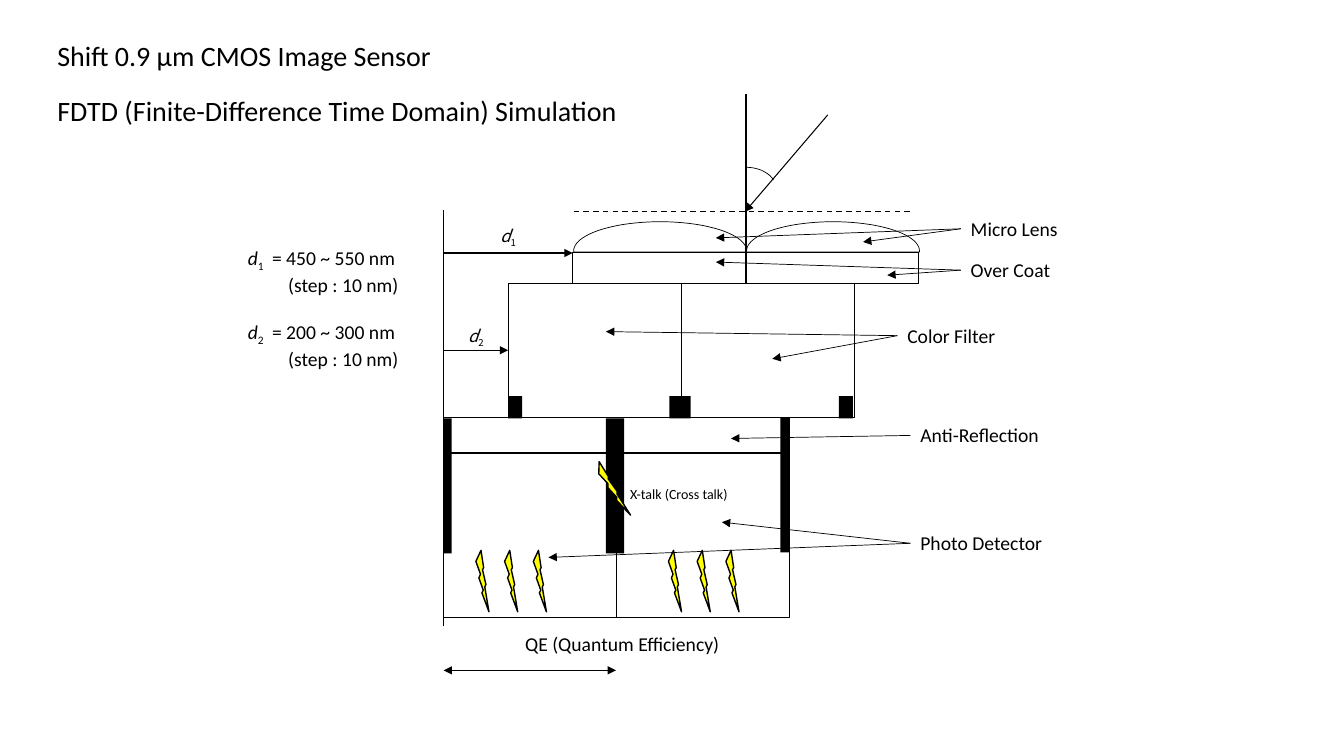
from math import cos, pi, sin

from lxml import etree
from pptx import Presentation
from pptx.dml.color import RGBColor
from pptx.enum.dml import MSO_LINE
from pptx.enum.shapes import MSO_CONNECTOR, MSO_SHAPE
from pptx.enum.text import MSO_ANCHOR, MSO_AUTO_SIZE, PP_ALIGN
from pptx.oxml.ns import qn
from pptx.util import Inches, Pt

RECT, ARC, BOLT = MSO_SHAPE.RECTANGLE, MSO_SHAPE.ARC, MSO_SHAPE.LIGHTNING_BOLT
STRAIGHT = MSO_CONNECTOR.STRAIGHT
DASH = MSO_LINE.DASH
MIDDLE, CENTER = MSO_ANCHOR.MIDDLE, PP_ALIGN.CENTER
GROW = MSO_AUTO_SIZE.SHAPE_TO_FIT_TEXT

COLORS = {"ink": "000000", "bolt": "FFFF00"}
LATIN, SYMBOL = "Calibri", "Noto Sans CJK KR"
LEFT, PIXEL = 4.4, 1.715  # sensor edge and pixel pitch


def color(name):
    return RGBColor.from_string(COLORS[name])


def style(shape, fill=None, width=None):
    shape.shadow.inherit = False
    if fill:
        shape.fill.solid()
        shape.fill.fore_color.rgb = color(fill)
    else:
        shape.fill.background()
    if width:
        shape.line.color.rgb = color("ink")
        shape.line.width = Pt(width)
    else:
        shape.line.fill.background()
    return shape


def add_form(slide, kind, x, y, w, h, fill=None, width=None):
    box = [Inches(v) for v in (x, y, w, h)]
    return style(slide.shapes.add_shape(kind, *box), fill, width)


def add_lens(slide, x):
    """Half an ellipse standing on the over coat."""
    rx, ry, base = PIXEL / 2, 0.29, 2.49
    dots = [(Inches(x + rx - rx * cos(pi * i / 48)),
             Inches(base - ry * sin(pi * i / 48))) for i in range(49)]
    dots += [(Inches(x + PIXEL), Inches(2.5)), (Inches(x), Inches(2.5))]
    form = slide.shapes.build_freeform(*dots[0])
    form.add_line_segments(dots[1:], close=True)
    style(form.convert_to_shape(), width=0.5)


def add_line(slide, start, end, width=0.5, head=False, tail=False):
    ends = [Inches(v) for v in (*start, *end)]
    line = slide.shapes.add_connector(STRAIGHT, *ends)
    line.line.color.rgb = color("ink")
    line.line.width = Pt(width)
    ln = line.line._get_or_add_ln()
    for tag, shown in (("a:headEnd", head), ("a:tailEnd", tail)):
        if shown:
            etree.SubElement(ln, qn(tag)).set("type", "triangle")
    etree.SubElement(line._element.spPr, qn("a:effectLst"))
    return line


def set_font(para, size, font=LATIN):
    para.font.size = Pt(size)
    para.font.name = font
    para.font.color.rgb = color("ink")


def add_box(slide, x, y, w, h, wrap=False):
    box = slide.shapes.add_textbox(*[Inches(v) for v in (x, y, w, h)])
    box.text_frame.word_wrap = wrap
    box.text_frame.auto_size = GROW
    return box


def add_label(slide, text, x, y, w, h=0.34, size=14, wrap=False):
    box = add_box(slide, x, y, w, h, wrap)
    para = box.text_frame.paragraphs[0]
    para.add_run().text = text
    set_font(para, size)
    return box


def add_symbol(para, index):
    """Italic d with a lowered index."""
    run = para.add_run()
    run.text = "d"
    run.font.italic = True
    low = para.add_run()
    low.text = index
    low._r.get_or_add_rPr().set("baseline", "-25000")


def add_offset(slide, index, x, y):
    box = add_box(slide, x, y, 0.36, 0.3)
    box.text_frame.vertical_anchor = MIDDLE
    para = box.text_frame.paragraphs[0]
    para.alignment = CENTER
    add_symbol(para, index)
    set_font(para, 12, SYMBOL)


def add_ranges(slide, ranges):
    frame = add_box(slide, 2.36, 2.39, 1.74, 1.28).text_frame
    for i, (index, span) in enumerate(ranges):
        para = frame.add_paragraph() if i else frame.paragraphs[0]
        if i:
            para.space_before = Pt(17)
        tabs = etree.SubElement(para._p.get_or_add_pPr(), qn("a:tabLst"))
        stop = etree.SubElement(tabs, qn("a:tab"))
        stop.set("pos", str(Inches(0.24)))
        stop.set("algn", "l")
        add_symbol(para, index)
        para.add_run().text = "\t= " + span
        set_font(para, 14)
        step = frame.add_paragraph()
        step._p.get_or_add_pPr().set("marL", str(Inches(0.4)))
        step.add_run().text = "(step : 10 nm)"
        set_font(step, 14)


def add_callout(slide, text, x, y, w, targets):
    label = add_label(slide, text, x, y, w)
    for target in targets:
        arrow = add_line(slide, (x, y + 0.17), target, tail=True)
        arrow.begin_connect(label, 1)


def add_sensor(slide):
    # Layers, two pixels wide
    coating = add_form(slide, RECT, LEFT, 4.14, 3.43, 0.35, width=0.5)
    filters = []
    for i in range(2):
        shift = i * PIXEL
        add_form(slide, RECT, LEFT + shift, 4.5, PIXEL, 1.62, width=0.5)
        filters.append(add_form(slide, RECT, 5.04 + shift, 2.81, PIXEL, 1.33,
                                width=0.5))
        add_form(slide, RECT, 5.68 + shift, 2.5, PIXEL, 0.31, width=0.5)
        add_lens(slide, 5.69 + shift)
    # Black walls and grid
    for x, y, w, h in ((5.04, 3.93, 0.14, 0.22), (6.64, 3.93, 0.21, 0.22),
                       (8.32, 3.93, 0.14, 0.22), (4.4, 4.15, 0.08, 1.34),
                       (6.01, 4.15, 0.18, 1.34), (7.74, 4.14, 0.09, 1.34)):
        add_form(slide, RECT, x, y, w, h, fill="ink")
    edge = add_line(slide, (7.83, 6.12), (7.83, 4.32))
    edge.end_connect(coating, 3)
    # Offsets from the left axis
    add_line(slide, (LEFT, 6.21), (LEFT, 2.08), 1)
    add_line(slide, (LEFT, 2.51), (5.68, 2.51), 1, tail=True)
    offset = add_line(slide, (LEFT, 3.475), (5.04, 3.475), 1, tail=True)
    offset.end_connect(filters[0], 1)
    add_offset(slide, "1", 4.86, 2.2)
    add_offset(slide, "2", 4.54, 3.19)


def add_light(slide):
    add_line(slide, (7.4, 2.81), (7.4, 0.93), 1)
    add_line(slide, (8.21, 1.14), (7.39, 2.1), 0.75, tail=True)
    angle = add_form(slide, ARC, 7.1, 1.66, 0.6, 0.43, width=0.5)
    angle.adjustments[0] = 162
    angle.adjustments[1] = 205.06
    add_line(slide, (5.69, 2.1), (9.04, 2.1), 1).line.dash_style = DASH


def add_bolts(slide):
    for start in (4.72, 6.63):
        for i in range(3):
            add_form(slide, BOLT, start + i * 0.285, 5.46, 0.13, 0.61, "bolt", 1)
    cross = add_form(slide, BOLT, 6.01, 4.55, 0.13, 0.61, "bolt", 1)
    cross.rotation = 337


def main():
    deck = Presentation()
    deck.slide_width, deck.slide_height = Inches(13.33), Inches(7.5)
    slide = deck.slides.add_slide(deck.slide_layouts[6])

    # Titles
    add_label(slide, "Shift 0.9 µm CMOS Image Sensor",
              0.47, 0.33, 4.41, 0.44, 20, True)
    add_label(slide, "FDTD (Finite-Difference Time Domain) Simulation",
              0.47, 0.88, 5.97, 0.44, 20, True)

    # Diagram
    add_sensor(slide)
    add_light(slide)
    add_ranges(slide, (("1", "450 ~ 550 nm"), ("2", "200 ~ 300 nm")))

    # Callouts
    for callout in (
        ("Micro Lens", 9.53, 2.1, 1.07, [(7.1, 2.36), (8.56, 2.4)]),
        ("Over Coat", 9.53, 2.51, 1, [(7.1, 2.6), (8.8, 2.73)]),
        ("Color Filter", 8.9, 3.16, 1.08, [(6.01, 3.29), (7.66, 3.56)]),
        ("Anti-Reflection", 9.03, 4.15, 1.39, [(7.25, 4.35)]),
        ("Photo Detector", 9.03, 5.22, 1.42, [(7.16, 5.18), (5.44, 5.53)]),
    ):
        add_callout(slide, *callout)

    # Signals and efficiency
    add_bolts(slide)
    add_label(slide, "X-talk (Cross talk)", 6.15, 4.77, 1.19, 0.27, 10)
    add_label(slide, "QE (Quantum Efficiency)", 5.11, 6.22, 2.13)
    add_line(slide, (LEFT, 6.65), (6.11, 6.65), head=True, tail=True)

    deck.save("out.pptx")


if __name__ == "__main__":
    main()
